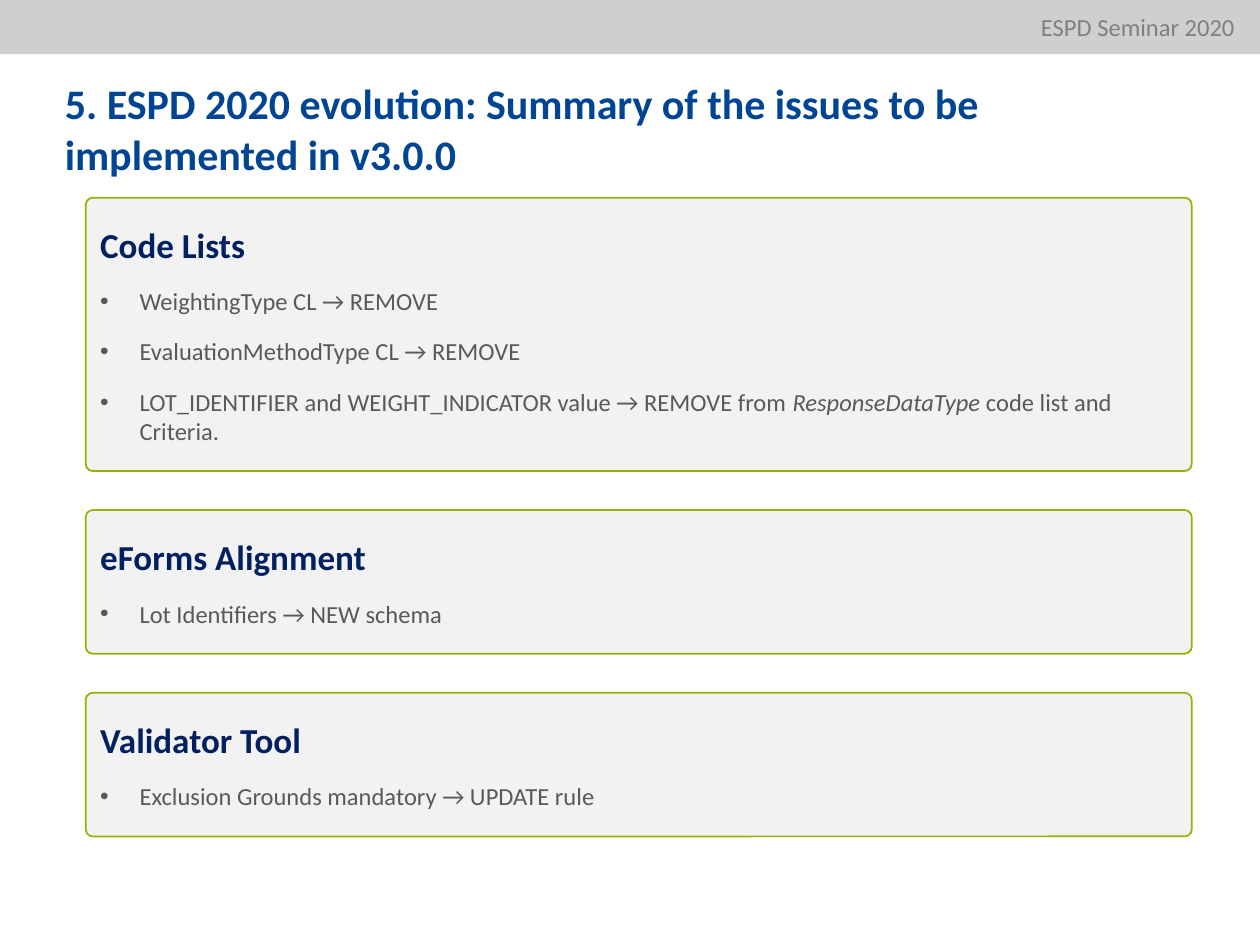
from lxml import etree
from pptx import Presentation
from pptx.dml.color import RGBColor
from pptx.enum.shapes import MSO_SHAPE as Shape
from pptx.enum.text import MSO_ANCHOR as Anchor, PP_ALIGN as Align
from pptx.oxml.ns import qn
from pptx.util import Pt

FONT = "Calibri"
TITLE_BLUE = RGBColor(0x00, 0x44, 0x94)
NAVY = RGBColor(0x00, 0x20, 0x60)
DARK_GRAY = RGBColor(0x59, 0x59, 0x59)
MID_GRAY = RGBColor(0x80, 0x80, 0x80)
BAR_GRAY = RGBColor(0xD0, 0xCE, 0xCE)
PANEL_GRAY = RGBColor(0xF2, 0xF2, 0xF2)
GREEN = RGBColor(0x9B, 0xAF, 0x04)

PANEL_LEFT, PANEL_TOP, PANEL_WIDTH = 49, 113, 632
PANEL_GAP, CORNER, INDENT = 22.3, 4, 22.5

PANELS = [
    (156.2, "Code Lists", [
        [("WeightingType CL → REMOVE", False)],
        [("EvaluationMethodType CL → REMOVE", False)],
        [("LOT_IDENTIFIER and WEIGHT_INDICATOR value → REMOVE from ", False),
         ("ResponseDataType", True),
         (" code list and Criteria.", False)],
    ]),
    (82.1, "eForms Alignment", [[("Lot Identifiers → NEW schema", False)]]),
    (82.1, "Validator Tool",
     [[("Exclusion Grounds mandatory → UPDATE rule", False)]]),
]


def add_run(p, text, size, color, bold=False, italic=False):
    r = p.add_run()
    r.text = text
    font = r.font
    font.name, font.size = FONT, Pt(size)
    font.bold, font.italic = bold, italic
    font.color.rgb = color


def add_box(slide, kind, left, top, width, height, fill):
    sp = slide.shapes.add_shape(kind, Pt(left), Pt(top), Pt(width), Pt(height))
    sp.shadow.inherit = False
    sp.fill.solid()
    sp.fill.fore_color.rgb = fill
    sp.text_frame.word_wrap = True
    sp.text_frame.vertical_anchor = Anchor.MIDDLE
    return sp


def set_bullet(p):
    pPr = p._p.get_or_add_pPr()
    pPr.set("marL", str(Pt(INDENT)))
    pPr.set("indent", str(-Pt(INDENT)))
    etree.SubElement(pPr, qn("a:buFont")).set("typeface", "Arial")
    etree.SubElement(pPr, qn("a:buChar")).set("char", "•")


def add_panel(slide, top, height, heading, items):
    sp = add_box(slide, Shape.ROUNDED_RECTANGLE,
                 PANEL_LEFT, top, PANEL_WIDTH, height, PANEL_GRAY)
    sp.adjustments[0] = CORNER / height
    sp.line.color.rgb = GREEN
    sp.line.width = Pt(1)
    tf = sp.text_frame
    add_run(tf.paragraphs[0], heading, 20, NAVY, bold=True)
    for item in items:
        p = tf.add_paragraph()
        set_bullet(p)
        for text, italic in item:
            add_run(p, text, 14, DARK_GRAY, italic=italic)
    for p in tf.paragraphs:
        p.alignment = Align.LEFT
        p.space_after = Pt(12)


def add_title(slide, text):
    box = slide.shapes.add_textbox(Pt(30), Pt(41), Pt(667), Pt(65.5))
    tf = box.text_frame
    tf.word_wrap = True
    add_run(tf.paragraphs[0], text, 24, TITLE_BLUE, bold=True)


def add_header(slide, text):
    sp = add_box(slide, Shape.RECTANGLE, -0.5, 0, 720.5, 31, BAR_GRAY)
    sp.line.fill.background()
    tf = sp.text_frame
    tf.margin_right = Pt(14.4)
    p = tf.paragraphs[0]
    p.alignment = Align.RIGHT
    add_run(p, text, 14, MID_GRAY)


def main():
    prs = Presentation()
    prs.slide_width, prs.slide_height = Pt(720), Pt(540)
    slide = prs.slides.add_slide(prs.slide_layouts[6])
    add_header(slide, "ESPD Seminar 2020")
    add_title(slide, "5. ESPD 2020 evolution: Summary of the issues to be "
                     "implemented in v3.0.0")
    top = PANEL_TOP
    for height, heading, items in PANELS:
        add_panel(slide, top, height, heading, items)
        top += height + PANEL_GAP
    prs.save("out.pptx")


if __name__ == "__main__":
    main()
